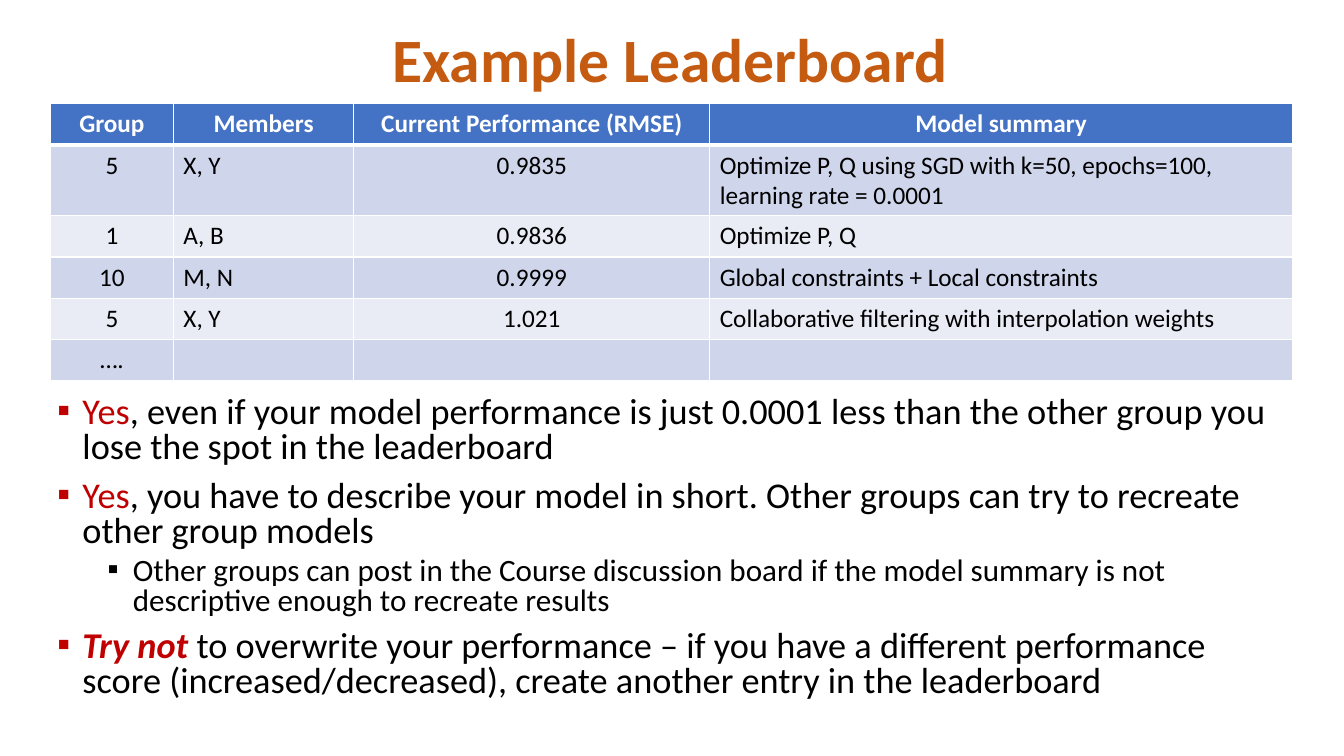
from lxml import etree
from pptx import Presentation
from pptx.dml.color import RGBColor
from pptx.enum.text import MSO_ANCHOR, PP_ALIGN
from pptx.oxml import parse_xml
from pptx.oxml.ns import nsdecls, qn
from pptx.util import Inches, Pt

FONT = "Calibri"
ORANGE = RGBColor(0xC5, 0x5A, 0x11)
RED = RGBColor(0xC0, 0x00, 0x00)
BLACK = RGBColor(0x00, 0x00, 0x00)
WHITE = RGBColor(0xFF, 0xFF, 0xFF)
HEADER_BLUE = RGBColor(0x44, 0x72, 0xC4)
BAND_DARK = RGBColor(0xCF, 0xD5, 0xEA)
BAND_LIGHT = RGBColor(0xE9, 0xEB, 0xF5)

COLUMN_WIDTHS = [1.22, 1.79, 3.53, 5.78]
CENTERED_COLUMNS = (0, 2)
ROW_HEIGHT = 0.41
LEADERBOARD = [
    ["Group", "Members", "Current Performance (RMSE)", "Model summary"],
    ["5", "X, Y", "0.9835",
     "Optimize P, Q using SGD with k=50, epochs=100, learning rate = 0.0001"],
    ["1", "A, B", "0.9836", "Optimize P, Q"],
    ["10", "M, N", "0.9999", "Global constraints + Local constraints"],
    ["5", "X, Y", "1.021", "Collaborative filtering with interpolation weights"],
    ["….", "", "", ""],
]

# Each note: level, red lead-in, whether the lead-in is emphasized, remaining text
NOTES = [
    (0, "Yes", False, ", even if your model performance is just 0.0001 less than "
                      "the other group you lose the spot in the leaderboard"),
    (0, "Yes", False, ", you have to describe your model in short. Other groups "
                      "can try to recreate other group models"),
    (1, "", False, "Other groups can post in the Course discussion board if the "
                   "model summary is not descriptive enough to recreate results"),
    (0, "Try not ", True, "to overwrite your performance – if you have a different "
                          "performance score (increased/decreased), create another "
                          "entry in the leaderboard"),
]


def add_run(paragraph, text, size, color, bold=False, italic=False):
    run = paragraph.add_run()
    run.text = text
    font = run.font
    font.name, font.size = FONT, Pt(size)
    font.bold, font.italic = bold, italic
    font.color.rgb = color


def set_title(slide, text):
    title = slide.shapes.title
    title.left, title.top = Inches(0.9), Inches(0.13)
    title.width, title.height = Inches(11.5), Inches(0.98)
    title.text_frame.vertical_anchor = MSO_ANCHOR.MIDDLE
    paragraph = title.text_frame.paragraphs[0]
    paragraph.alignment = PP_ALIGN.CENTER
    paragraph.line_spacing = 0.9
    add_run(paragraph, text, 44, ORANGE, bold=True)


def set_borders(cell, bottom_width):
    properties = cell._tc.get_or_add_tcPr()
    widths = {"lnL": 1, "lnR": 1, "lnT": 1, "lnB": bottom_width}
    for side, width in widths.items():
        properties.append(parse_xml(
            f'<a:{side} {nsdecls("a")} w="{Pt(width)}"><a:solidFill>'
            f'<a:srgbClr val="{WHITE}"/></a:solidFill></a:{side}>'))


def fill_cell(cell, text, row, column):
    header = row == 0
    set_borders(cell, 3 if header else 1)
    cell.fill.solid()
    band = BAND_DARK if row % 2 else BAND_LIGHT
    cell.fill.fore_color.rgb = HEADER_BLUE if header else band
    paragraph = cell.text_frame.paragraphs[0]
    if header or column in CENTERED_COLUMNS:
        paragraph.alignment = PP_ALIGN.CENTER
    if text:
        add_run(paragraph, text, 18, WHITE if header else BLACK, bold=header)


def add_leaderboard(slide):
    frame = slide.shapes.add_table(
        len(LEADERBOARD), len(COLUMN_WIDTHS), Inches(0.5), Inches(1.03),
        Inches(sum(COLUMN_WIDTHS)), Inches(ROW_HEIGHT * len(LEADERBOARD)))
    table = frame.table
    for column, width in zip(table.columns, COLUMN_WIDTHS):
        column.width = Inches(width)
    for row, texts in enumerate(LEADERBOARD):
        table.rows[row].height = Inches(ROW_HEIGHT)
        for column, text in enumerate(texts):
            fill_cell(table.cell(row, column), text, row, column)


def set_bullet(paragraph, level, color):
    properties = paragraph._p.get_or_add_pPr()
    properties.set("marL", str(Inches(0.25 + 0.5 * level)))
    properties.set("indent", str(Inches(-0.25)))
    bullet_color = etree.SubElement(properties, qn("a:buClr"))
    etree.SubElement(bullet_color, qn("a:srgbClr"), val=str(color))
    etree.SubElement(properties, qn("a:buFont"), typeface=FONT)
    etree.SubElement(properties, qn("a:buChar"), char="▪")


def add_notes(slide):
    """Add the bulleted rules below the table."""
    box = slide.shapes.add_textbox(
        Inches(0.47), Inches(3.89), Inches(12.4), Inches(3.33))
    frame = box.text_frame
    frame.word_wrap = True
    for index, (level, lead, emphasized, text) in enumerate(NOTES):
        paragraph = frame.add_paragraph() if index else frame.paragraphs[0]
        paragraph.level = level
        paragraph.line_spacing = 0.8
        paragraph.space_before = Pt(5 if level else 10)
        set_bullet(paragraph, level, RED if lead else BLACK)
        size = 22.2 if level else 25.9
        if lead:
            add_run(paragraph, lead, size, RED, emphasized, emphasized)
        add_run(paragraph, text, size, BLACK)


def main():
    presentation = Presentation()
    presentation.slide_width = Inches(13.33)
    presentation.slide_height = Inches(7.5)
    slide = presentation.slides.add_slide(presentation.slide_layouts[5])
    set_title(slide, "Example Leaderboard")
    add_notes(slide)
    add_leaderboard(slide)
    presentation.save("out.pptx")


if __name__ == "__main__":
    main()
